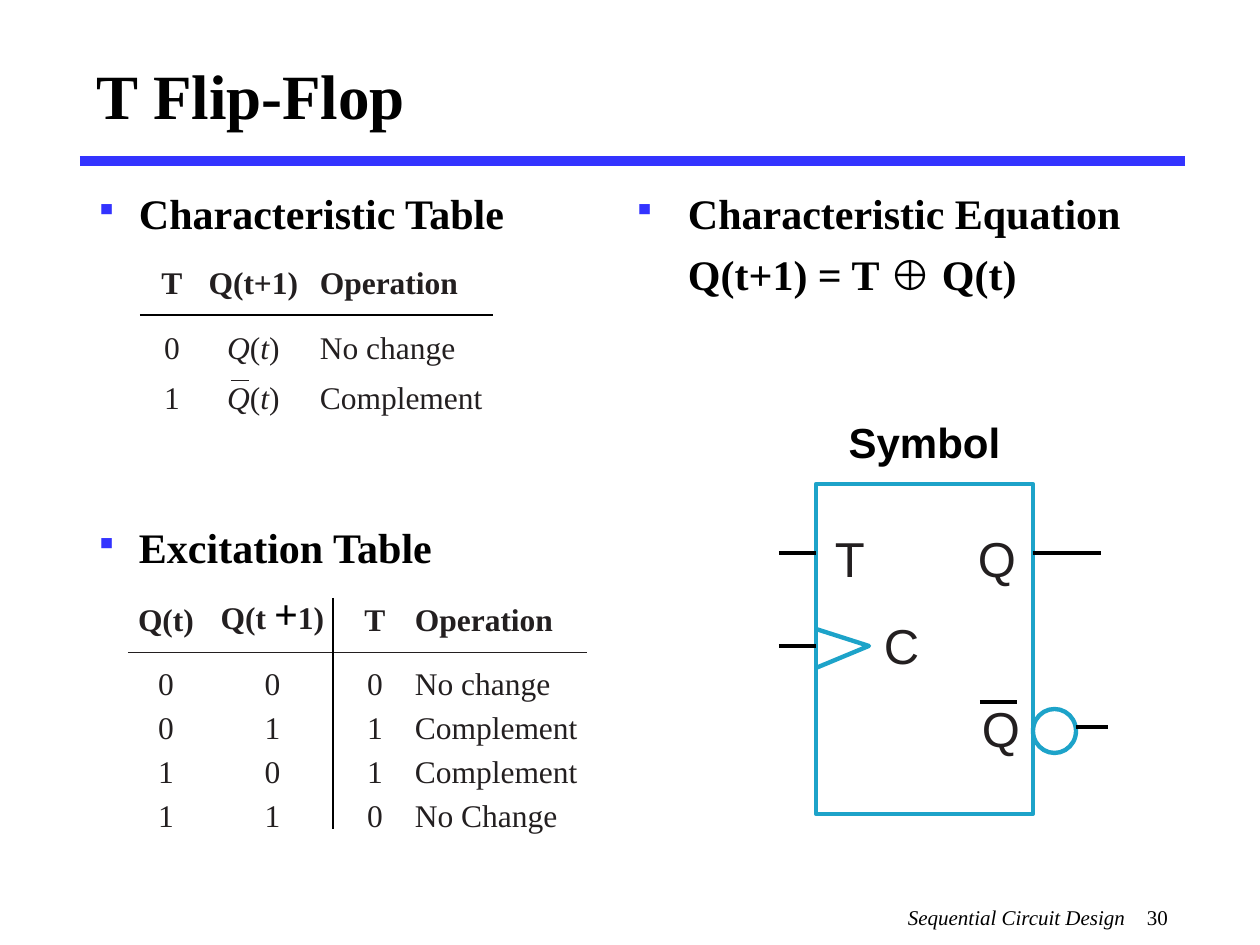
from dataclasses import dataclass

from lxml import etree
from pptx import Presentation, util as u
from pptx.dml.color import RGBColor
from pptx.enum import shapes, text
from pptx.oxml.ns import qn

PX = 914400 // 126


@dataclass(frozen=True)
class Theme:
    serif: str = "Times New Roman"
    sans: str = "Arial"
    black: str = "000000"
    ink: str = "231F20"
    blue: str = "3333FF"
    cyan: str = "1DA3C9"
    title: int = 36
    label: int = 28
    heading: int = 24
    cell: int = 18
    footer: int = 12


T = Theme()
LEFT, CENTER = text.PP_ALIGN.LEFT, text.PP_ALIGN.CENTER
HEAD = dict(name=T.serif, size=T.heading, color=T.black, bold=True)
CELL = dict(name=T.serif, size=T.cell, color=T.ink)
CELL_HEAD = CELL | dict(bold=True)
LABEL = dict(name=T.sans, size=T.label, color=T.ink)
SYMBOL = HEAD | dict(name=T.sans)
FOOTER = dict(name=T.serif, size=T.footer, color=T.black)

TITLE = "T Flip-Flop"
# A line of text is a list of (text, format changes) runs.
Q_T = [("Q", {"italic": True}), ("(", {}), ("t", {"italic": True}), (")", {})]
Q_NEXT = [("Q(t ", {}), ("+", {"size": T.heading, "color": T.black}), ("1)", {})]
EQUATION = [("Q(t+1) = T ", {}), ("⊕", {"name": T.sans}), (" Q(t)", {})]
FOOTER_RUNS = [("Sequential Circuit Design", {"italic": True}), ("\t30", {})]

# box, hanging indent, space before, lines (the first one has the bullet)
SECTIONS = [
    ((95, 188, 500, 50), 44, 3, ["Characteristic Table"]),
    ((95, 522, 500, 50), 44, 3, ["Excitation Table"]),
    ((633, 188, 500, 111), 55, 6, ["Characteristic Equation", EQUATION]),
]
TABLES = [
    dict(at=(140, 255), cols=[62, 100, 191], rows=[60, 51, 50],
         left_pad=[2, 3, 18],
         data=[["T", "Q(t+1)", "Operation"],
               ["0", Q_T, "No change"],
               ["1", Q_T, "Complement"]]),
    dict(at=(128, 588), cols=[76, 129, 82, 172], rows=[64, 50, 44, 44, 44],
         left_pad=[0, 8, 2, 0],
         data=[["Q(t)", Q_NEXT, "T", "Operation"],
               ["0", "0", "0", "No change"],
               ["0", "1", "1", "Complement"],
               ["1", "0", "1", "Complement"],
               ["1", "1", "0", "No Change"]]),
]
HEAD_GAP = 14
BLOCK = (816, 484, 217, 330)
BUBBLE = (1033, 709, 43, 44)
CLOCK_EDGE = [(816, 629), (869, 646), (816, 668)]
PINS = [("T", 835, 529), ("C", 884, 616), ("Q", 978, 529), ("Q", 982, 699)]
# from x, y, to x, y, colour, width
LINES = [
    (80, 161, 1185, 161, T.blue, 6),
    (140, 315, 493, 315, T.black, 1.5),
    (231, 380, 249, 380, T.ink, 0.5),
    (128, 652, 587, 652, T.ink, 0.5),
    (333, 598, 333, 829, T.black, 1.5),
    (779, 553, 816, 553, T.black, 2.25),
    (779, 646, 816, 646, T.black, 2.25),
    (1033, 553, 1101, 553, T.black, 2.25),
    (1076, 727, 1108, 727, T.black, 2.25),
    (980, 702, 1017, 702, T.black, 2.25),
]


def px(*values):
    return [v * PX for v in values]


def write(p, content, fmt):
    runs = [(content, {})] if isinstance(content, str) else content
    for words, changes in runs:
        r = p.add_run()
        r.text = words
        values = fmt | changes
        r.font.color.rgb = RGBColor.from_string(values.pop("color"))
        values["size"] = u.Pt(values["size"])
        for key, value in values.items():
            setattr(r.font, key, value)


def set_margins(frame, left=0, top=0, right=0, bottom=0):
    sides = dict(left=left, top=top, right=right, bottom=bottom)
    for side, value in sides.items():
        setattr(frame, f"margin_{side}", value * PX)


def add_text(slide, box, content, fmt, align=LEFT):
    tf = slide.shapes.add_textbox(*px(*box)).text_frame
    tf.word_wrap = True
    set_margins(tf)
    p = tf.paragraphs[0]
    p.alignment = align
    write(p, content, fmt)
    return tf


def add_section(slide, box, indent, space, lines):
    tf = add_text(slide, box, lines[0], HEAD)
    for line in lines[1:]:
        p = tf.add_paragraph()
        p.space_before = u.Pt(space)
        write(p, line, HEAD)
    for p in tf.paragraphs:
        p._p.get_or_add_pPr().set("marL", str(indent * PX))
    pPr = tf.paragraphs[0]._p.pPr
    pPr.set("indent", str(-indent * PX))
    color = etree.SubElement(pPr, qn("a:buClr"))
    etree.SubElement(color, qn("a:srgbClr"), val=T.blue)
    etree.SubElement(pPr, qn("a:buSzPct"), val="75000")
    etree.SubElement(pPr, qn("a:buChar"), char="▪")


def add_truth_table(slide, at, cols, rows, left_pad, data):
    size = (sum(cols), sum(rows))
    table = slide.shapes.add_table(len(rows), len(cols), *px(*at, *size)).table
    table.horz_banding = False
    no_grid = "{2D5ABB26-0587-4C30-8999-92F81FD0307C}"
    table._tbl.tblPr.find(qn("a:tableStyleId")).text = no_grid
    for column, width in zip(table.columns, cols):
        column.width = width * PX
    for i, (height, values) in enumerate(zip(rows, data)):
        table.rows[i].height = height * PX
        for j, content in enumerate(values):
            cell = table.cell(i, j)
            set_margins(cell, left=left_pad[j], bottom=0 if i else HEAD_GAP)
            cell.vertical_anchor = text.MSO_ANCHOR.BOTTOM
            cell.fill.background()
            p = cell.text_frame.paragraphs[0]
            p.alignment = LEFT if j == len(cols) - 1 else CENTER
            write(p, content, CELL if i else CELL_HEAD)


def add_line(slide, x1, y1, x2, y2, color, width):
    ends = px(x1, y1, x2, y2)
    sp = slide.shapes.add_connector(shapes.MSO_CONNECTOR.STRAIGHT, *ends)
    sp.line.color.rgb = RGBColor.from_string(color)
    sp.line.width = u.Pt(width)
    etree.SubElement(sp._element.spPr, qn("a:effectLst"))


def add_flip_flop(slide):
    kinds = shapes.MSO_SHAPE
    edge = slide.shapes.build_freeform(*CLOCK_EDGE[0], scale=PX)
    edge.add_line_segments(CLOCK_EDGE[1:], close=False)
    outlines = [slide.shapes.add_shape(kinds.RECTANGLE, *px(*BLOCK)),
                slide.shapes.add_shape(kinds.OVAL, *px(*BUBBLE)),
                edge.convert_to_shape()]
    for sp in outlines:
        sp.shadow.inherit = False
        sp.fill.background()
        sp.line.color.rgb = RGBColor.from_string(T.cyan)
        sp.line.width = u.Pt(2.5)
    add_text(slide, (816, 417, 217, 50), "Symbol", SYMBOL, CENTER)
    for name, x, y in PINS:
        add_text(slide, (x, y, 40, 59), name, LABEL)


def main():
    prs = Presentation()
    prs.slide_width, prs.slide_height = px(1260, 945)
    slide = prs.slides.add_slide(prs.slide_layouts[5])

    title = slide.shapes.title
    title.left, title.top, title.width, title.height = px(84, 33, 1097, 123)
    title.text_frame.vertical_anchor = text.MSO_ANCHOR.MIDDLE
    p = title.text_frame.paragraphs[0]
    p.alignment = LEFT
    write(p, TITLE, HEAD | dict(size=T.title))

    for section in SECTIONS:
        add_section(slide, *section)
    for table in TABLES:
        add_truth_table(slide, **table)
    add_flip_flop(slide)
    for line in LINES:
        add_line(slide, *line)

    tf = add_text(slide, (908, 905, 270, 34), FOOTER_RUNS, FOOTER)
    tabs = etree.SubElement(tf.paragraphs[0]._p.get_or_add_pPr(), qn("a:tabLst"))
    etree.SubElement(tabs, qn("a:tab"), pos=str(239 * PX), algn="l")
    prs.save("out.pptx")


if __name__ == "__main__":
    main()
